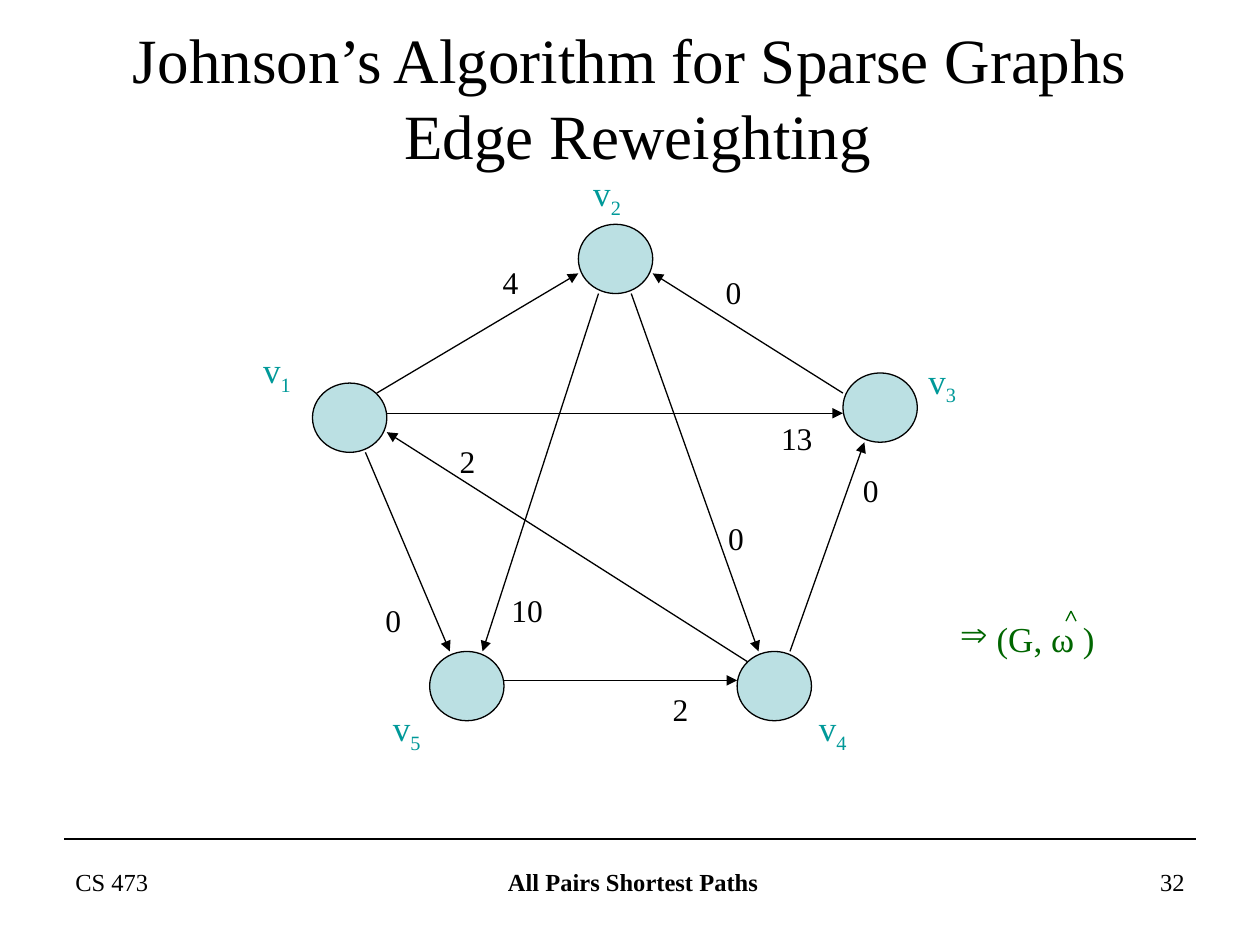
"""Build the edge reweighting slide of Johnson's algorithm."""
import dataclasses

import lxml.etree
import pptx
import pptx.dml.color
import pptx.enum.shapes
import pptx.enum.text
import pptx.oxml.ns
import pptx.util

Inches = pptx.util.Inches
Align = pptx.enum.text.PP_ALIGN
FONT = "Times New Roman"
COLORS = {"ink": "000000", "node": "BBE0E3", "name": "009999", "result": "006600"}
NODE_WIDTH, NODE_HEIGHT = 0.59, 0.55
Point = tuple[float, float]


@dataclasses.dataclass
class Vertex:
    number: int
    corner: Point
    label: Point


@dataclasses.dataclass
class Edge:
    start: Point
    end: Point
    weight: str
    label: Point


@dataclasses.dataclass
class FooterPart:
    text: str
    left: float
    width: float
    align: Align
    bold: bool = False


VERTICES = [
    Vertex(1, (2.48, 3.04), (1.99, 2.72)),
    Vertex(2, (4.59, 1.78), (4.61, 1.31)),
    Vertex(3, (6.69, 2.96), (7.27, 2.8)),
    Vertex(4, (5.85, 5.17), (6.4, 5.56)),
    Vertex(5, (3.41, 5.17), (3.02, 5.56)),
]
EDGES = [
    Edge((2.99, 3.12), (4.59, 2.17), "4", (3.89, 2.04)),
    Edge((6.69, 3.12), (5.18, 2.17), "0", (5.66, 2.12)),
    Edge((6.27, 5.17), (6.86, 3.51), "0", (6.75, 3.69)),
    Edge((4, 5.4), (5.85, 5.4), "2", (5.24, 5.43)),
    Edge((2.9, 3.59), (3.57, 5.17), "0", (2.96, 4.72)),
    Edge((4.75, 2.33), (3.83, 5.17), "10", (3.96, 4.64)),
    Edge((5.01, 2.33), (6.02, 5.17), "0", (5.68, 4.07)),
    Edge((5.93, 5.25), (3.07, 3.43), "2", (3.55, 3.46)),
    Edge((3.07, 3.28), (6.69, 3.28), "13", (6.1, 3.28)),
]
FOOTER = [
    FooterPart("CS 473", 0.5, 2.33, Align.LEFT),
    FooterPart("All Pairs Shortest Paths", 3.44, 3.17, Align.CENTER, True),
    FooterPart("32", 7.17, 2.33, Align.RIGHT),
]


def rgb(name: str) -> pptx.dml.color.RGBColor:
    """Return a named colour."""
    return pptx.dml.color.RGBColor.from_string(COLORS[name])


def style_span(span, size: float, color: str, bold: bool = False) -> None:
    """Set the font of a run."""
    span.font.name = FONT
    span.font.size = pptx.util.Pt(size)
    span.font.bold = bold
    span.font.color.rgb = rgb(color)


def add_text(slide, text: str, corner: Point, size: Point, points: float,
             color: str = "ink", align: Align = Align.LEFT,
             bold: bool = False, wrap: bool = False):
    """Add a text box and return its paragraph."""
    box = slide.shapes.add_textbox(*map(Inches, corner + size))
    box.text_frame.word_wrap = wrap
    box.text_frame.text = text
    para = box.text_frame.paragraphs[0]
    para.alignment = align
    style_span(para.runs[0], points, color, bold)
    return para


def add_line(slide, start: Point, end: Point, color: str = "ink", arrow: bool = False) -> None:
    """Add a thin straight line, with an arrowhead at its end if asked."""
    line = slide.shapes.add_connector(
        pptx.enum.shapes.MSO_CONNECTOR.STRAIGHT, *map(Inches, start + end))
    line.line.color.rgb = rgb(color)
    line.line.width = pptx.util.Pt(0.75)
    if arrow:
        lxml.etree.SubElement(line.line._get_or_add_ln(),
                              pptx.oxml.ns.qn("a:tailEnd"), type="triangle")
    lxml.etree.SubElement(line._element.spPr, pptx.oxml.ns.qn("a:effectLst"))


def add_vertex(slide, vertex: Vertex) -> None:
    """Add a node and its subscripted name."""
    node = slide.shapes.add_shape(
        pptx.enum.shapes.MSO_SHAPE.OVAL,
        *map(Inches, vertex.corner + (NODE_WIDTH, NODE_HEIGHT)))
    node.shadow.inherit = False
    node.fill.solid()
    node.fill.fore_color.rgb = rgb("node")
    node.line.color.rgb = rgb("ink")
    node.line.width = pptx.util.Pt(0.75)
    para = add_text(slide, "v", vertex.label, (0.42, 0.48), 20, "name")
    span = para.add_run()
    span.text = str(vertex.number)
    style_span(span, 20, "name")
    span.font._element.set("baseline", "-25000")


def add_edge(slide, edge: Edge) -> None:
    """Add an arrow and its weight."""
    add_line(slide, edge.start, edge.end, arrow=True)
    width = 0.32 if len(edge.weight) == 1 else 0.45
    add_text(slide, edge.weight, edge.label, (width, 0.4), 18)


def add_title(slide) -> None:
    """Place and fill the title."""
    title = slide.shapes.title
    title.left, title.top, title.width, title.height = map(Inches, (0.5, 0.46, 9, 0.61))
    frame = title.text_frame
    frame.text = "Johnson’s Algorithm for Sparse Graphs\v Edge Reweighting"
    frame.auto_size = pptx.enum.text.MSO_AUTO_SIZE.NONE
    frame.vertical_anchor = pptx.enum.text.MSO_ANCHOR.MIDDLE
    para = frame.paragraphs[0]
    para.alignment = Align.CENTER
    for span in para.runs:
        style_span(span, 36, "ink")


def add_result(slide) -> None:
    """Add the reweighted graph with the hat over its omega."""
    para = add_text(slide, " (G, ω )", (7.52, 4.85), (1.71, 0.44), 20, "result", wrap=True)
    properties = para._p.get_or_add_pPr()
    lxml.etree.SubElement(properties, pptx.oxml.ns.qn("a:buChar"), char="⇒")
    for foot in (8.46, 8.54):
        add_line(slide, (8.5, 4.85), (foot, 4.93), "result")


def main() -> None:
    """Build and save the deck."""
    deck = pptx.Presentation()
    deck.slide_width, deck.slide_height = Inches(10), Inches(7.5)
    slide = deck.slides.add_slide(deck.slide_layouts[5])
    add_title(slide)
    add_line(slide, (0.51, 6.66), (9.49, 6.66))
    for part in FOOTER:
        add_text(slide, part.text, (part.left, 6.83), (part.width, 0.52), 14,
                 align=part.align, bold=part.bold, wrap=True)
    for vertex in VERTICES:
        add_vertex(slide, vertex)
    for edge in EDGES:
        add_edge(slide, edge)
    add_result(slide)
    deck.save("out.pptx")


if __name__ == "__main__":
    main()
